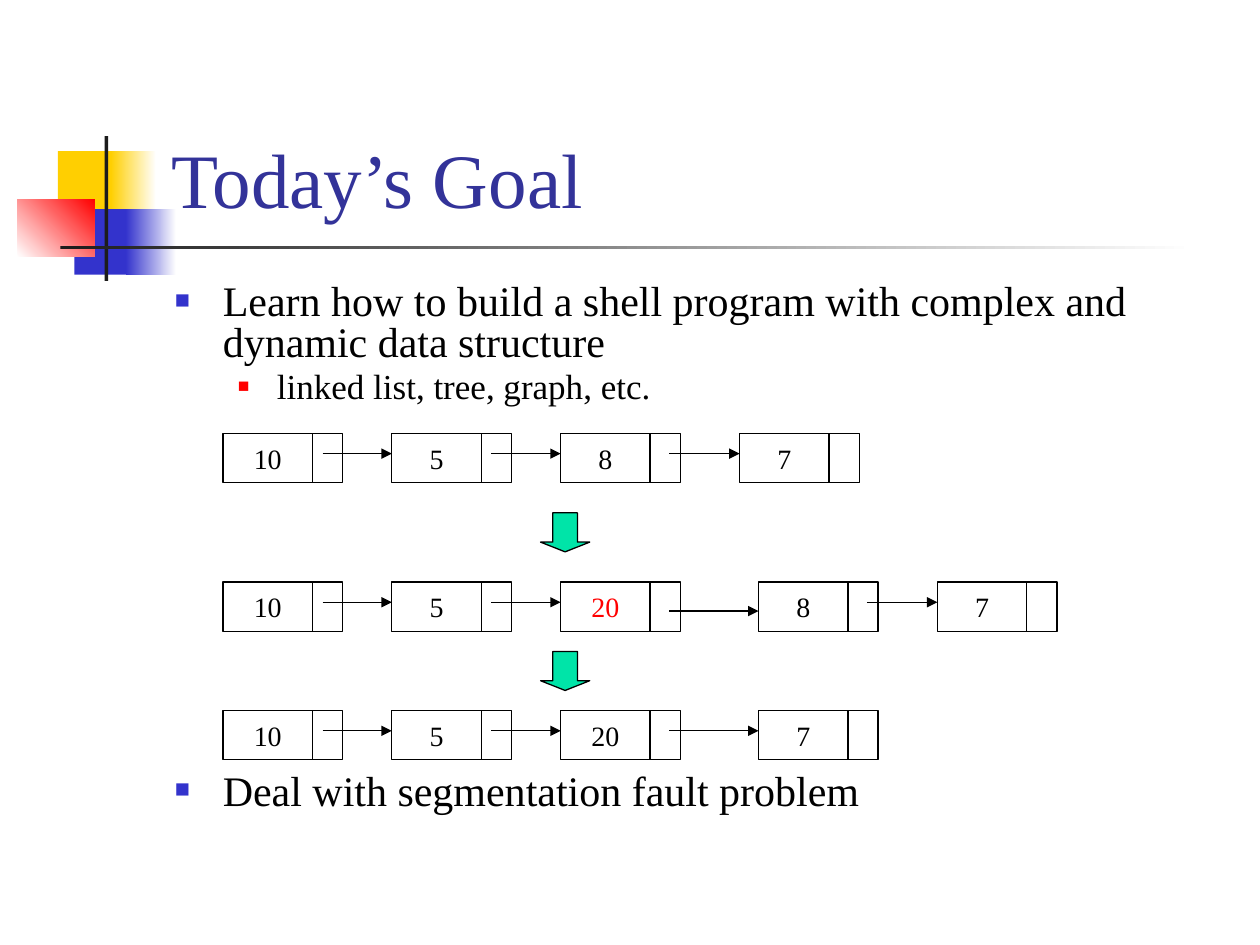
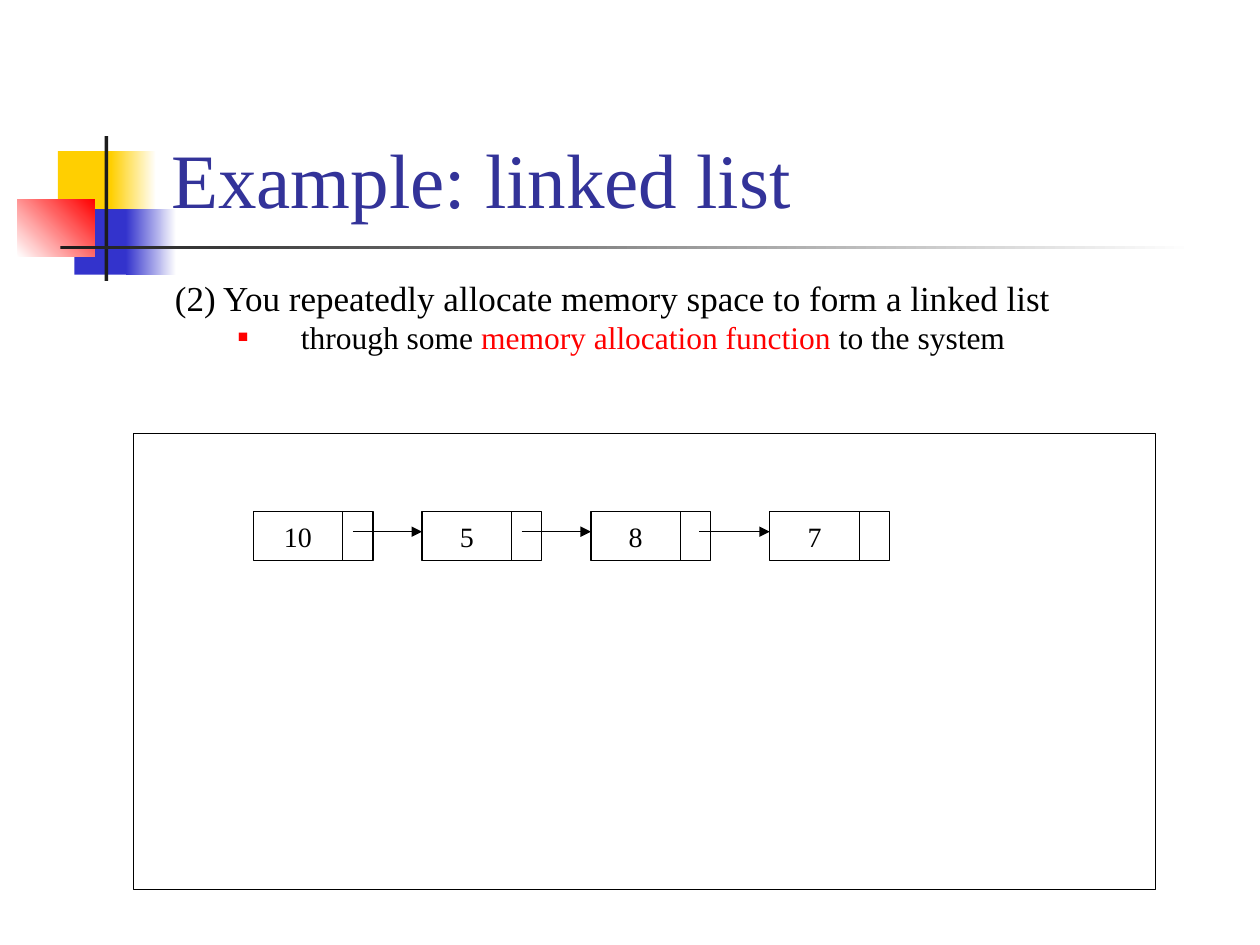
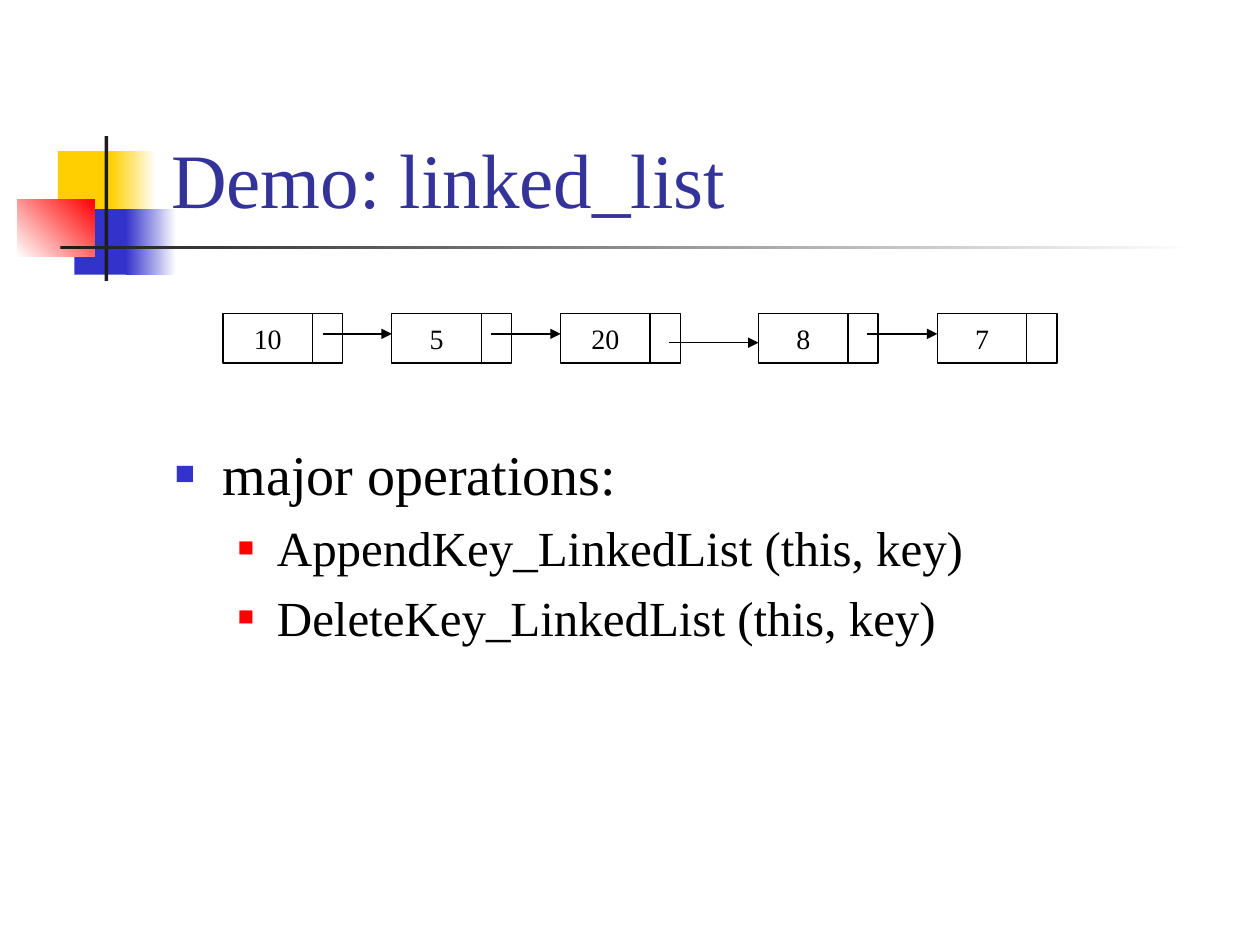
"""Build three slides about linked lists with a shared title design."""
import pptx
import pptx.util
import pptx.dml.color
import pptx.enum.shapes
import pptx.enum.text
import pptx.oxml.ns
import lxml.etree

Inches, Pt = pptx.util.Inches, pptx.util.Pt
RGB = pptx.dml.color.RGBColor
SHAPE = pptx.enum.shapes.MSO_SHAPE
ANCHOR = pptx.enum.text.MSO_ANCHOR
qn = pptx.oxml.ns.qn

BLACK, WHITE = RGB(0, 0, 0), RGB(255, 255, 255)
RED, YELLOW = RGB(255, 0, 0), RGB(0xFF, 0xCF, 0x01)
BLUE, INDIGO = RGB(0x33, 0x33, 0xCC), RGB(0x33, 0x33, 0x99)
DARK, GREEN = RGB(0x1C, 0x1C, 0x1C), RGB(0x00, 0xE4, 0xA8)
FONT = "Times New Roman"

DECOR = [
    ((0.46, 1.2, 0.48, 0.52), (YELLOW,), 0),
    ((0.88, 1.2, 0.36, 0.52), (YELLOW, WHITE), 0),
    ((0.59, 1.66, 0.46, 0.52), (BLUE,), 0),
    ((1, 1.66, 0.4, 0.52), (BLUE, WHITE), 0),
    ((0.14, 1.58, 0.61, 0.46), (WHITE, RED), 45),
    ((0.83, 1.08, 0.03, 1.15), (DARK,), 0),
    ((0.48, 1.95, 9, 0.03), (DARK, WHITE), 0),
]

TOP = dict(margin=0.38, hang=0.38, bullet=(BLUE, 60))
SUB = dict(margin=0.81, hang=0.31, bullet=(RED, 55))
STEP = dict(margin=0.58, hang=0.58, bullet=None)
SUBSTEP = dict(margin=1, hang=0.5, bullet=(RED, 55))

FOUR = (1.77, 3.11, 4.45, 5.87)
FOUR_WIDE = (1.77, 3.11, 4.45, 6.02)
FIVE = FOUR_WIDE + (7.44,)
CELL_W, LINK_W, NODE_H = 0.71, 0.24, 0.39

SLIDES = [
    dict(
        title="Today\u2019s Goal", box=(1.29, 2.21, 8.5, 4.5), spacing=0.8,
        body=[
            (TOP, 24, None, [("Learn how to build a shell program with complex "
                              "and dynamic data structure", BLACK)]),
            (SUB, 20, None, [("linked list, tree, graph, etc.", BLACK)]),
            (TOP, 24, 210, [("Deal with segmentation fault problem", BLACK)]),
        ],
        lists=[
            dict(top=3.44, lefts=FOUR, keys=(10, 5, 8, 7)),
            dict(top=4.62, lefts=FIVE, keys=(10, 5, 20, 8, 7), new=20, low=2),
            dict(top=5.64, lefts=FOUR_WIDE, keys=(10, 5, 20, 7)),
        ],
        down_arrows=[4.07, 5.17],
    ),
    dict(
        title="Example: linked list", box=(1.29, 2.21, 8.5, 0.99), spacing=0.8,
        body=[
            (STEP, 20, None, [("(2) You repeatedly allocate memory space to "
                               "form a linked list", BLACK)]),
            (SUBSTEP, 18, None, [("through some ", BLACK),
                                 ("memory allocation function", RED),
                                 (" to the system", BLACK)]),
        ],
        frame=(1.06, 3.44, 8.11, 3.62),
        lists=[dict(top=4.06, lefts=[x + 0.24 for x in FOUR],
                    keys=(10, 5, 8, 7))],
    ),
    dict(
        title="Demo: linked_list", box=(1.29, 3.44, 8.5, 3.27), spacing=None,
        body=[
            (TOP, 32, None, [("major operations:", BLACK)]),
            (SUB, 28, None, [("AppendKey_LinkedList (this, key)", BLACK)]),
            (SUB, 28, None, [("DeleteKey_LinkedList (this, key)", BLACK)]),
        ],
        lists=[dict(top=2.49, lefts=FIVE, keys=(10, 5, 20, 8, 7), low=2)],
    ),
]


def style(r, size, color):
    r.font.name, r.font.size = FONT, Pt(size)
    r.font.color.rgb = color


def add_shape(s, box, colors=(), outline=True, kind=SHAPE.RECTANGLE, angle=0):
    sp = s.shapes.add_shape(kind, *map(Inches, box))
    sp.shadow.inherit = False
    if len(colors) == 2:
        sp.fill.gradient()
        sp.fill.gradient_angle = angle
        for stop, color in zip(sp.fill.gradient_stops, colors):
            stop.color.rgb = color
    elif colors:
        sp.fill.solid()
        sp.fill.fore_color.rgb = colors[0]
    else:
        sp.fill.background()
    if outline:
        sp.line.color.rgb, sp.line.width = BLACK, Pt(0.75)
    else:
        sp.line.fill.background()
    return sp


def add_arrow(s, x1, x2, y):
    cn = s.shapes.add_connector(pptx.enum.shapes.MSO_CONNECTOR.STRAIGHT,
                                Inches(x1), Inches(y), Inches(x2), Inches(y))
    cn.line.color.rgb, cn.line.width = BLACK, Pt(0.75)
    ln = cn.line._get_or_add_ln()
    lxml.etree.SubElement(ln, qn("a:tailEnd"), type="triangle")
    lxml.etree.SubElement(cn._element.spPr, qn("a:effectLst"))


def add_text_box(s, box):
    tf = s.shapes.add_textbox(*map(Inches, box)).text_frame
    tf.word_wrap = True
    return tf


def add_title(s, text):
    tf = add_text_box(s, (1.26, 0.23, 8.52, 1.6))
    tf.vertical_anchor = ANCHOR.BOTTOM
    tf.text = text
    style(tf.paragraphs[0].runs[0], 44, INDIGO)


def set_bullet(p, margin, hang, bullet):
    pPr = p._p.get_or_add_pPr()
    pPr.set("marL", str(Inches(margin)))
    pPr.set("indent", str(-Inches(hang)))
    if bullet:
        color, percent = bullet
        clr = lxml.etree.SubElement(pPr, qn("a:buClr"))
        lxml.etree.SubElement(clr, qn("a:srgbClr"), val=str(color))
        lxml.etree.SubElement(pPr, qn("a:buSzPct"), val=str(percent * 1000))
        lxml.etree.SubElement(pPr, qn("a:buFont"), typeface=FONT)
        lxml.etree.SubElement(pPr, qn("a:buChar"), char="\u25a0")
    else:
        lxml.etree.SubElement(pPr, qn("a:buNone"))


def add_body(s, box, paragraphs, spacing):
    tf = add_text_box(s, box)
    for i, (level, size, before, runs) in enumerate(paragraphs):
        p = tf.add_paragraph() if i else tf.paragraphs[0]
        if spacing:
            p.line_spacing = spacing
        p.space_before = Pt(before or size * 0.22)
        set_bullet(p, **level)
        for text, color in runs:
            r = p.add_run()
            r.text = text
            style(r, size, color)


def add_linked_list(s, top, lefts, keys, new=None, low=None):
    for x, key in zip(lefts, keys):
        tf = add_shape(s, (x, top, CELL_W, NODE_H)).text_frame
        tf.word_wrap = False
        tf.vertical_anchor = ANCHOR.MIDDLE
        tf.text = str(key)
        p = tf.paragraphs[0]
        p.alignment = pptx.enum.text.PP_ALIGN.CENTER
        style(p.runs[0], 16, RED if key == new else BLACK)
        add_shape(s, (x + CELL_W, top, LINK_W, NODE_H))
    for i, (x, following) in enumerate(zip(lefts, lefts[1:])):
        start = x + (0.79 if following - x < 1.4 else 0.86)
        add_arrow(s, start, following, top + (0.23 if i == low else 0.16))


prs = pptx.Presentation()
prs.slide_width, prs.slide_height = Inches(10), Inches(7.5)
for content in SLIDES:
    s = prs.slides.add_slide(prs.slide_layouts[6])
    for box, colors, angle in DECOR:
        add_shape(s, box, colors, outline=False, angle=angle)
    add_title(s, content["title"])
    add_body(s, content["box"], content["body"], content["spacing"])
    if "frame" in content:
        add_shape(s, content["frame"])
    for linked_list in content["lists"]:
        add_linked_list(s, **linked_list)
    for y in content.get("down_arrows", []):
        sp = add_shape(s, (4.29, y, 0.39, 0.31), (GREEN,), kind=SHAPE.DOWN_ARROW)
        sp.adjustments[0], sp.adjustments[1] = 0.5, 0.25
prs.save("out.pptx")
